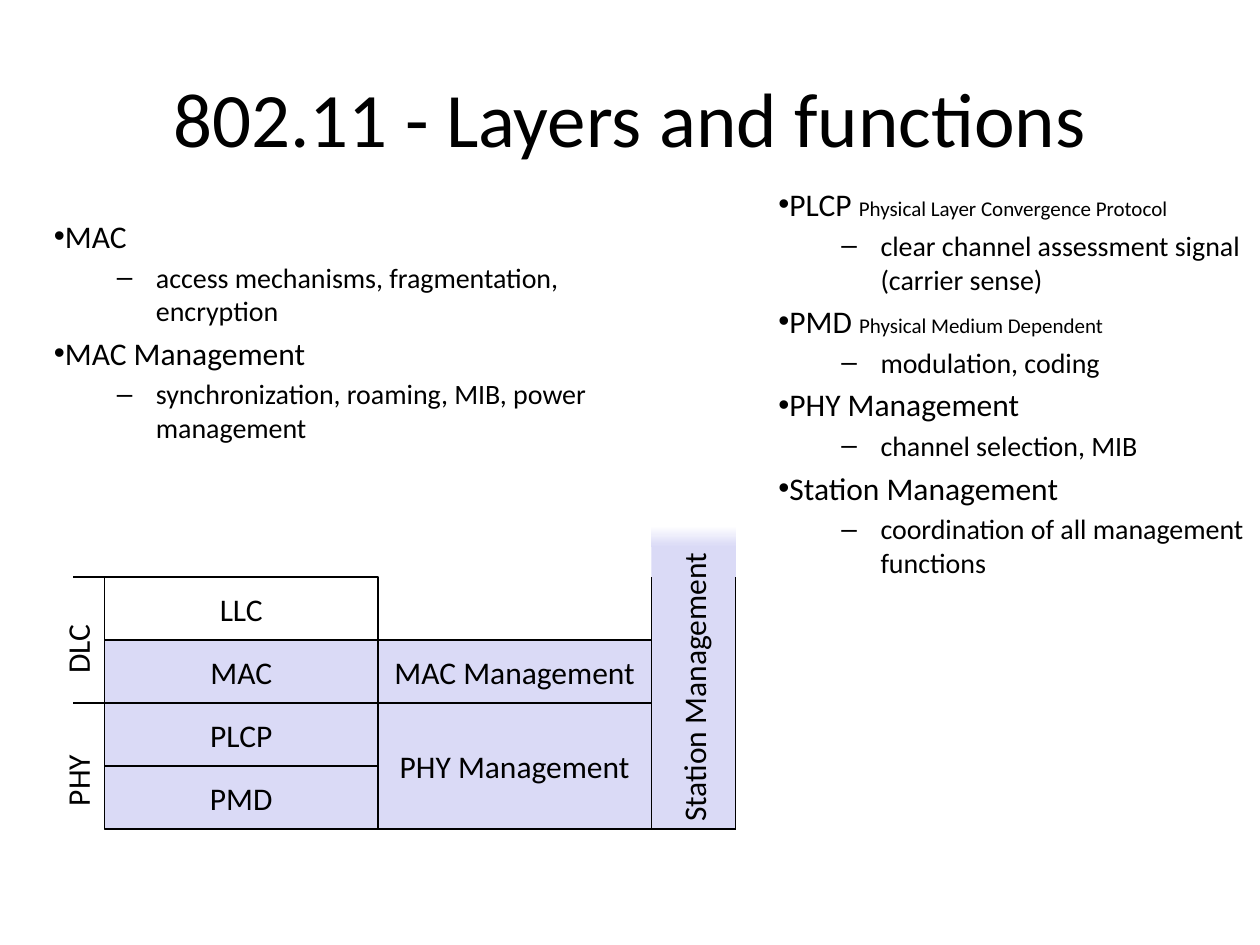
from dataclasses import dataclass

from lxml.etree import SubElement as Sub
from pptx import Presentation
from pptx.dml.color import RGBColor as Rgb
from pptx.enum.shapes import MSO_CONNECTOR as Conn, MSO_SHAPE as Kind
from pptx.enum.text import MSO_ANCHOR as Anchor, PP_ALIGN as Align
from pptx.oxml.ns import qn
from pptx.util import Inches, Pt


@dataclass(frozen=True)
class Theme:
    """Colours, font and type sizes."""
    ink: Rgb = Rgb(0, 0, 0)
    tint: Rgb = Rgb(0xDA, 0xDA, 0xF6)
    white: Rgb = Rgb(255, 255, 255)
    face: str = "Calibri"
    title: int = 44
    head: int = 18
    sub: int = 16
    note: int = 12
    line: float = 0.75


class Deck:
    """Draws styled elements on the current slide."""

    def __init__(self, slide, theme):
        self.slide, self.theme = slide, theme

    def font(self, font, size):
        font.name, font.size = self.theme.face, Pt(size)
        font.color.rgb = self.theme.ink

    def title(self, text, *box):
        shape = self.slide.shapes.title
        shape.left, shape.top, shape.width, shape.height = map(Inches, box)
        shape.text_frame.vertical_anchor = Anchor.MIDDLE
        para = shape.text_frame.paragraphs[0]
        para.text, para.alignment = text, Align.CENTER
        self.font(para.font, self.theme.title)

    def bullet(self, para, char, left, hang):
        props = para._p.get_or_add_pPr()
        props.set("marL", str(Inches(left)))
        props.set("indent", str(-Inches(hang)))
        Sub(props, qn("a:buFont"), typeface="Arial")
        Sub(props, qn("a:buChar"), char=char)

    def list(self, items, *box):
        frame = self.slide.shapes.add_textbox(*map(Inches, box)).text_frame
        frame.word_wrap = True
        para = frame.paragraphs[0]
        for i, (head, note, sub) in enumerate(items):
            if i:
                para = frame.add_paragraph()
            para.space_before = Pt(self.theme.head * 0.2)
            self.bullet(para, "•", 0, 0)
            para.add_run().text = head
            self.font(para.font, self.theme.head)
            if note:
                run = para.add_run()
                run.text = note
                run.font.size = Pt(self.theme.note)
            para = frame.add_paragraph()
            para.level, para.text = 1, sub
            para.space_before = Pt(self.theme.sub * 0.2)
            self.bullet(para, "–", 0.81, 0.31)
            self.font(para.font, self.theme.sub)

    def block(self, text, fill, *box, edge=True, upward=False):
        shape = self.slide.shapes.add_shape(Kind.RECTANGLE, *map(Inches, box))
        shape.shadow.inherit = False
        shape.fill.solid()
        shape.fill.fore_color.rgb = fill
        if edge:
            shape.line.color.rgb = self.theme.ink
            shape.line.width = Pt(self.theme.line)
        else:
            shape.line.fill.background()
        frame = shape.text_frame
        frame.word_wrap, frame.vertical_anchor = False, Anchor.MIDDLE
        if upward:
            frame._txBody.bodyPr.set("vert", "vert270")
        para = frame.paragraphs[0]
        para.alignment = Align.CENTER
        if text:
            para.text = text
            self.font(para.font, self.theme.head)
        return shape

    def fade(self, *box):
        shape = self.block("", self.theme.tint, *box, edge=False)
        shape.fill.gradient()
        shape.fill.gradient_angle = 270
        for stop, tone in zip(shape.fill.gradient_stops,
                              (self.theme.white, self.theme.tint)):
            stop.color.rgb = tone

    def label(self, text, *box):
        shape = self.slide.shapes.add_textbox(*map(Inches, box))
        shape.rotation = 270
        shape.text_frame.word_wrap = False
        para = shape.text_frame.paragraphs[0]
        para.text = text
        self.font(para.font, self.theme.head)

    def rule(self, *ends):
        line = self.slide.shapes.add_connector(Conn.STRAIGHT, *map(Inches, ends))
        line.line.color.rgb = self.theme.ink
        line.line.width = Pt(self.theme.line)
        Sub(line._element.spPr, qn("a:effectLst"))


def main():
    show = Presentation()
    show.slide_width, show.slide_height = Inches(10), Inches(7.5)
    theme = Theme()
    deck = Deck(show.slides.add_slide(show.slide_layouts[5]), theme)

    deck.title("802.11 - Layers and functions", 0.5, 0.3, 9, 1.25)
    deck.list([
        ("PLCP ", "Physical Layer Convergence Protocol",
         "clear channel assessment signal (carrier sense)"),
        ("PMD ", "Physical Medium Dependent", "modulation, coding"),
        ("PHY Management", "", "channel selection, MIB"),
        ("Station Management", "", "coordination of all management functions"),
    ], 6.08, 1.42, 3.92, 3.33)
    deck.list([
        ("MAC", "", "access mechanisms, fragmentation, encryption"),
        ("MAC Management", "",
         "synchronization, roaming, MIB, power management"),
    ], 0.33, 1.67, 4.57, 2.58)

    left, top, wide, high = 0.83, 4.58, 2.17, 0.5
    mid, right = left + wide, left + 2 * wide
    base, slim = top + 4 * high, 0.67
    for row, name in enumerate(("LLC", "MAC", "PLCP", "PMD")):
        fill = theme.tint if row else theme.white
        deck.block(name, fill, left, top + row * high, wide, high)
    deck.block("MAC Management", theme.tint, mid, top + high, wide, high)
    deck.block("PHY Management", theme.tint, mid, top + 2 * high, wide, 2 * high)

    for y in (top, top + 2 * high):
        deck.rule(left - 0.25, y, left, y)
    deck.label("PHY", 0.27, 5.98, 0.66, 0.37)
    deck.label("DLC", 0.28, 4.94, 0.64, 0.37)

    deck.block("Station Management", theme.tint, right, top - 0.25, slim, 2.25,
               edge=False, upward=True)
    for x in (right, right + slim):
        deck.rule(x, top, x, base)
    deck.rule(right, base, right + slim, base)
    deck.fade(right, top - 0.41, slim, 0.17)

    show.save("out.pptx")


if __name__ == "__main__":
    main()
